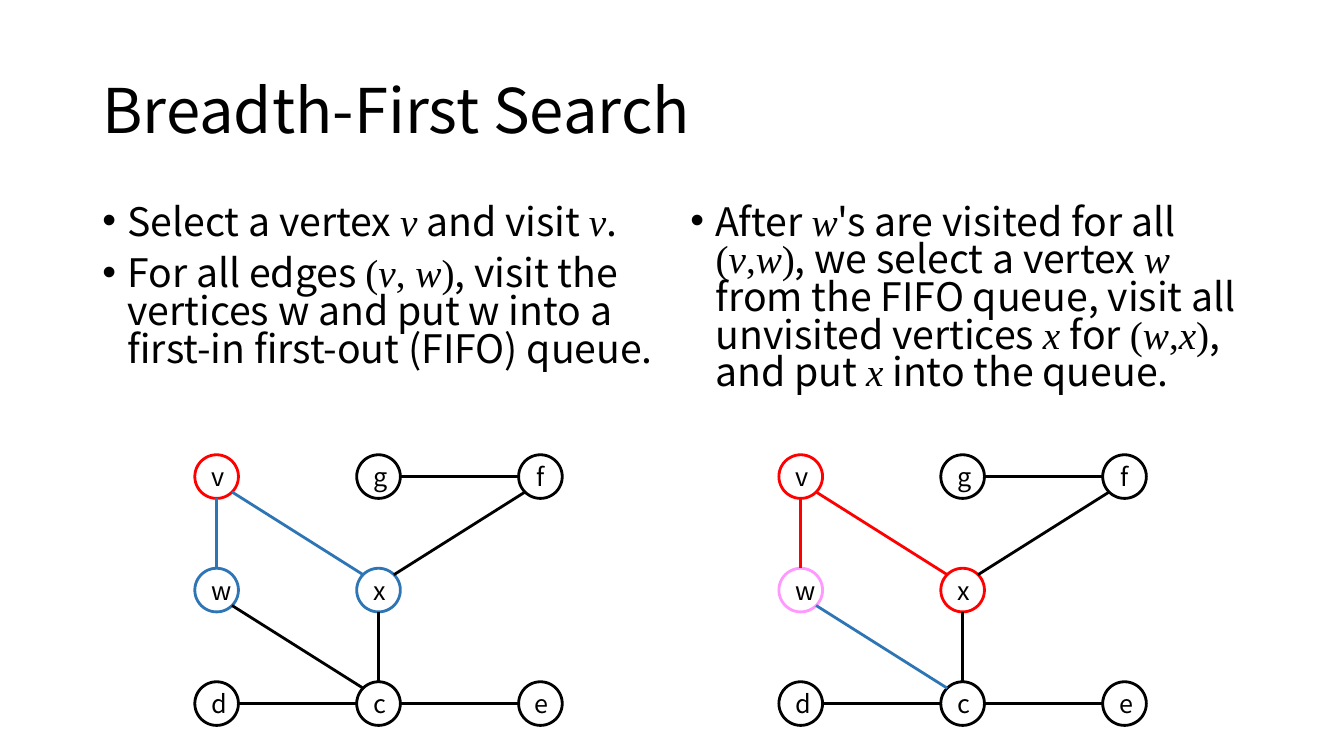
from math import sqrt

from lxml.etree import SubElement
from pptx import Presentation
from pptx.dml.color import RGBColor
from pptx.enum.shapes import MSO_CONNECTOR, MSO_SHAPE
from pptx.enum.text import MSO_ANCHOR, PP_ALIGN
from pptx.oxml.ns import qn
from pptx.util import Cm, Pt

SANS, SERIF = "Noto Sans CJK JP", "Times New Roman"
BLACK, WHITE, RED, BLUE, PINK = "000000", "FFFFFF", "FF0000", "2E75B6", "FF99FF"

# Run styles: font name, italic
PLAIN, MATH, VAR = (SANS, False), (SERIF, False), (SERIF, True)

LEFT_BULLETS = [
    [("Select a vertex ", PLAIN), ("v", VAR), (" and visit ", PLAIN),
     ("v", VAR), (".", PLAIN)],
    [("For all edges ", PLAIN), ("(", MATH), ("v", VAR), (", ", MATH),
     ("w", VAR), (")", MATH),
     (", visit the vertices w and put w into a first-in first-out (FIFO) queue.",
      PLAIN)],
]
RIGHT_BULLETS = [
    [("After ", PLAIN), ("w", VAR), ("'s are visited for all ", PLAIN),
     ("(", MATH), ("v", VAR), (",", MATH), ("w", VAR), (")", MATH),
     (", we select a vertex ", PLAIN), ("w", VAR),
     (" from the FIFO queue, visit all unvisited vertices ", PLAIN),
     ("x ", VAR), ("for ", PLAIN), ("(", MATH), ("w", VAR), (",", MATH),
     ("x", VAR), (")", MATH), (", and put ", PLAIN), ("x", VAR),
     (" into the queue.", PLAIN)],
]

# Graph vertices on a grid of (column, row), and the edges between them
VERTICES = {"v": (0, 0), "g": (1, 0), "f": (2, 0), "w": (0, 1), "x": (1, 1),
            "d": (0, 2), "c": (1, 2), "e": (2, 2)}
EDGES = ["vx", "gf", "xf", "xc", "wc", "vw", "cd", "ec"]
COLUMN_STEP, ROW_STEP, DIAMETER = 4.08, 2.86, 1.1


def color(hex_string):
    return RGBColor.from_string(hex_string)


def add_span(para, text, size, style=PLAIN):
    span = para.add_run()
    span.text = text
    span.font.name, span.font.italic = style
    span.font.size = Pt(size)
    span.font.color.rgb = color(BLACK)


def add_text_box(page, left, top, width, height):
    box = page.shapes.add_textbox(Cm(left), Cm(top), Cm(width), Cm(height))
    box.text_frame.word_wrap = True
    return box.text_frame


def add_title(page, left, top, width, height, text):
    frame = add_text_box(page, left, top, width, height)
    frame.vertical_anchor = MSO_ANCHOR.MIDDLE
    para = frame.paragraphs[0]
    para.line_spacing = 0.9
    add_span(para, text, 44)


def add_bullets(page, left, top, width, height, bullets):
    frame = add_text_box(page, left, top, width, height)
    for index, spans in enumerate(bullets):
        para = frame.add_paragraph() if index else frame.paragraphs[0]
        para.line_spacing = 0.8
        if index:
            para.space_before = Pt(10)
        # Hanging bullet
        props = para._p.get_or_add_pPr()
        props.set("marL", str(Cm(0.635)))
        props.set("indent", str(-Cm(0.635)))
        SubElement(props, qn("a:buFont")).set("typeface", "Arial")
        SubElement(props, qn("a:buChar")).set("char", "•")
        for text, style in spans:
            add_span(para, text, 28, style)


def add_vertex(group, left, top, name, line_color):
    vertex = group.shapes.add_shape(
        MSO_SHAPE.OVAL, Cm(left), Cm(top), Cm(DIAMETER), Cm(DIAMETER))
    vertex.shadow.inherit = False
    vertex.fill.solid()
    vertex.fill.fore_color.rgb = color(WHITE)
    vertex.line.color.rgb = color(line_color)
    vertex.line.width = Pt(2)
    vertex.text_frame.word_wrap = True
    vertex.text_frame.vertical_anchor = MSO_ANCHOR.MIDDLE
    para = vertex.text_frame.paragraphs[0]
    para.alignment = PP_ALIGN.CENTER
    add_span(para, name, 18)


def add_edge(group, start, end, line_color):
    """Join two circle centres, stopping at the rims."""
    steps = [(b > a) - (b < a) for a, b in zip(start, end)]
    reach = DIAMETER / 2 / (sqrt(2) if all(steps) else 1)
    begin = [Cm(a + step * reach) for a, step in zip(start, steps)]
    finish = [Cm(b - step * reach) for b, step in zip(end, steps)]
    edge = group.shapes.add_connector(MSO_CONNECTOR.STRAIGHT, *begin, *finish)
    edge.line.color.rgb = color(line_color)
    edge.line.width = Pt(2)
    SubElement(edge._element.spPr, qn("a:effectLst"))


def add_graph(page, left, top, vertex_colors, edge_colors):
    group = page.shapes.add_group_shape()
    centres = {}
    for name, (column, row) in VERTICES.items():
        x, y = left + column * COLUMN_STEP, top + row * ROW_STEP
        centres[name] = (x + DIAMETER / 2, y + DIAMETER / 2)
        add_vertex(group, x, y, name, vertex_colors.get(name, BLACK))
    for edge in EDGES:
        start, end = edge
        add_edge(group, centres[start], centres[end], edge_colors.get(edge, BLACK))


def main():
    deck = Presentation()
    deck.slide_width, deck.slide_height = Cm(33.87), Cm(19.05)
    page = deck.slides.add_slide(deck.slide_layouts[6])

    add_title(page, 2.33, 1.01, 29.21, 3.68, "Breadth-First Search")

    # First step: visit v and queue its neighbours
    add_bullets(page, 2.33, 5.07, 14.4, 5.54, LEFT_BULLETS)
    add_graph(page, 4.91, 11.46, {"v": RED, "w": BLUE, "x": BLUE},
              {"vx": BLUE, "vw": BLUE})

    # Second step: take w from the queue
    add_bullets(page, 17.15, 5.07, 14.4, 5.31, RIGHT_BULLETS)
    add_graph(page, 19.63, 11.46, {"v": RED, "w": PINK, "x": RED},
              {"vx": RED, "vw": RED, "wc": BLUE})

    deck.save("out.pptx")


if __name__ == "__main__":
    main()
